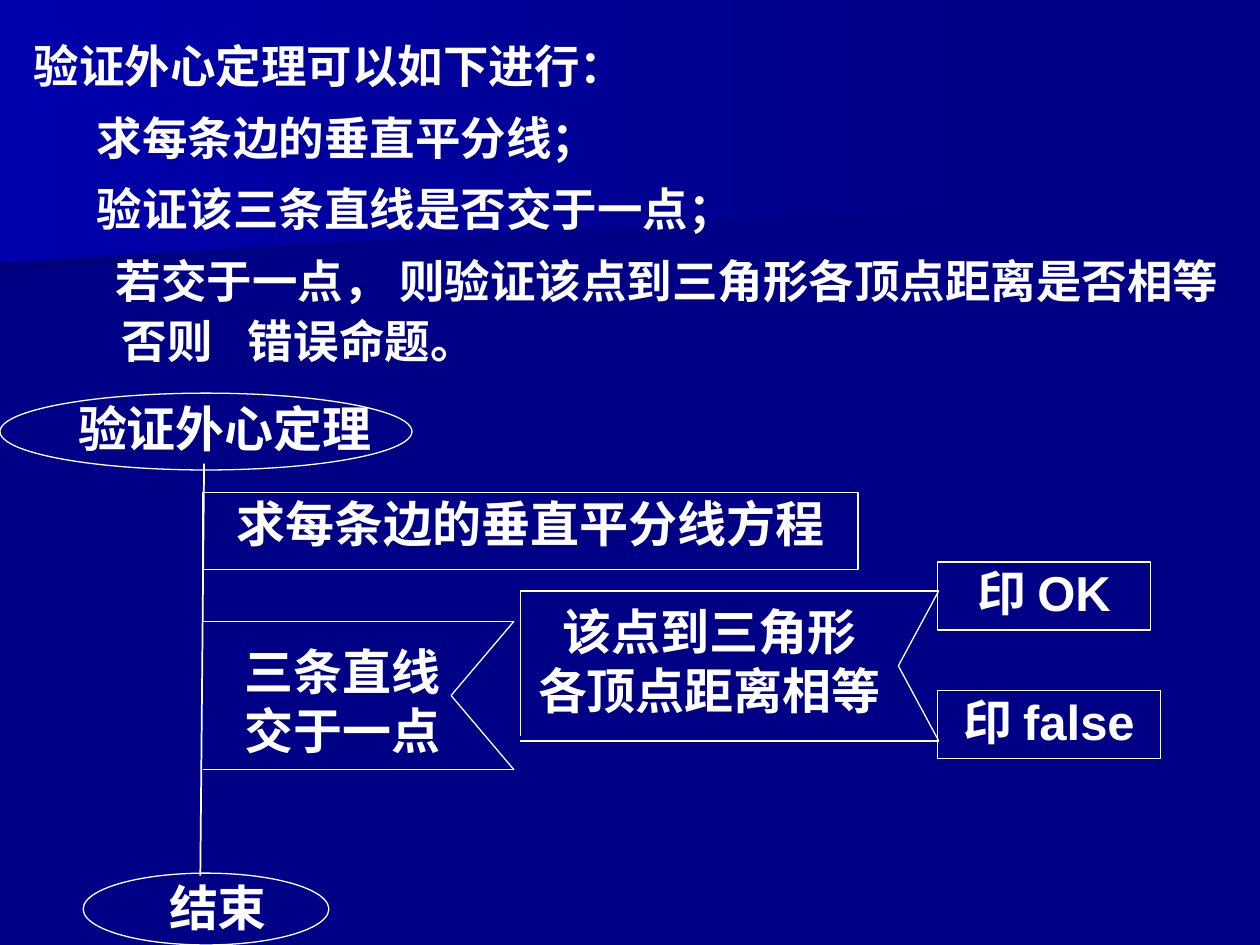
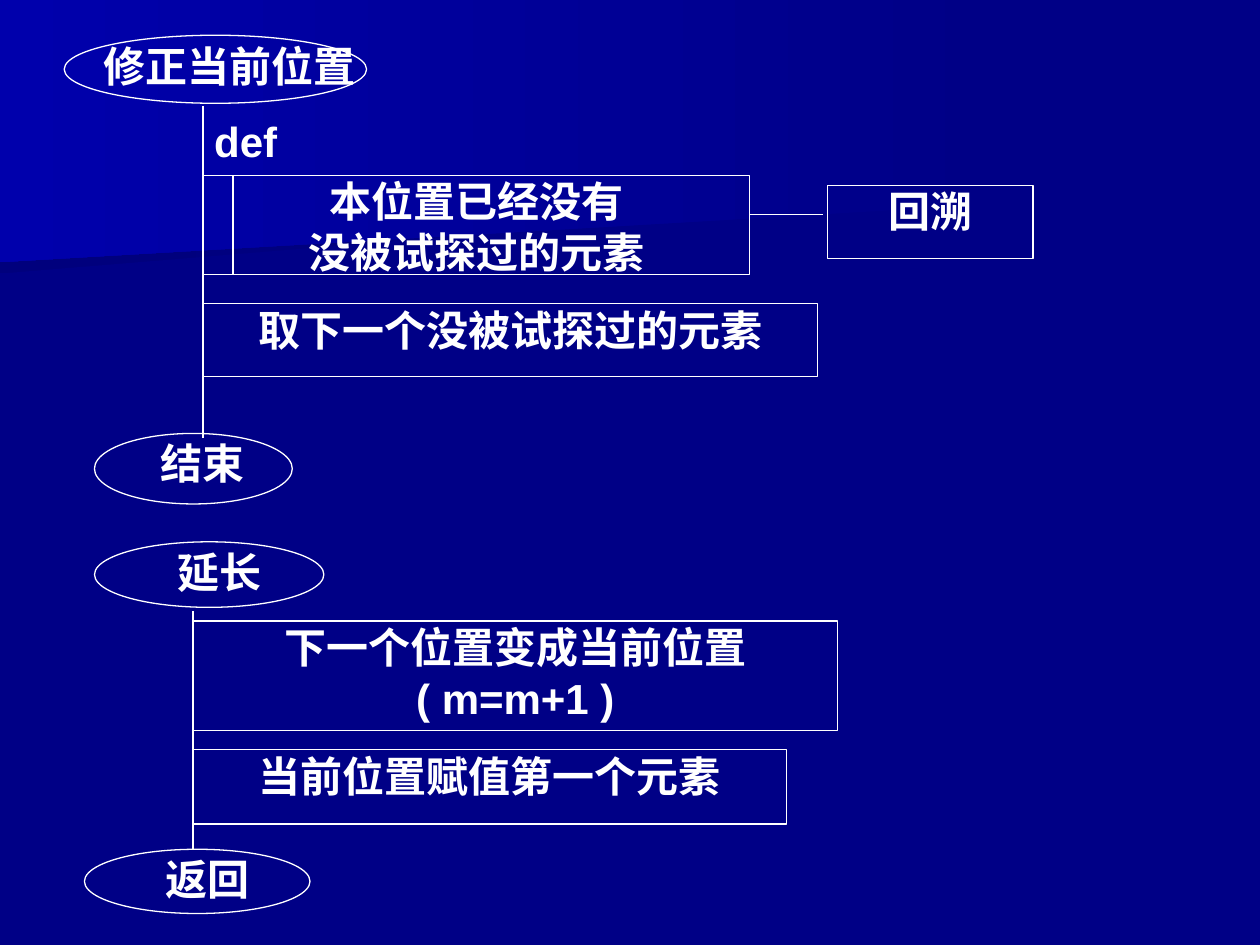
from lxml.etree import SubElement
from pptx import Presentation
from pptx.dml.color import RGBColor
from pptx.enum.shapes import MSO_CONNECTOR as Connector, MSO_SHAPE as Shape
from pptx.enum.text import MSO_ANCHOR as Anchor, PP_ALIGN as Align
from pptx.oxml.ns import qn
from pptx.util import Inches, Pt

WHITE = RGBColor(0xFF, 0xFF, 0xFF)
NAVY = RGBColor(0x00, 0x00, 0x86)
DARK_NAVY = RGBColor(0x00, 0x00, 0x7D)
BRIGHT_BLUE = RGBColor(0x00, 0x00, 0xAC)

COLUMNS, ROWS = 100, 75
CELL = Inches(0.1)
SANS, SERIF = "Arial", "Times New Roman"


def grid(*cells):
    return [round(cell * CELL) for cell in cells]


def write(shape, text, size, font, align=Align.CENTER, inset=0.1):
    frame = shape.text_frame
    frame.text = text
    frame.word_wrap = True
    frame.vertical_anchor = Anchor.TOP
    frame.margin_left = frame.margin_right = grid(inset)[0]
    frame.margin_top = frame.margin_bottom = grid(inset / 2)[0]
    for para in frame.paragraphs:
        para.alignment = align
        for span in para.runs:
            span.font.size = Pt(size)
            span.font.name = font
            span.font.bold = True
            span.font.color.rgb = WHITE
    return frame


def add_label(page, text, place, size, font, align=Align.CENTER, inset=0.1):
    box = page.shapes.add_textbox(*grid(*place))
    return write(box, text, size, font, align, inset)


def add_outline(page, kind, place):
    shape = page.shapes.add_shape(kind, *grid(*place))
    shape.shadow.inherit = False
    shape.fill.background()
    shape.line.color.rgb = WHITE
    shape.line.width = Pt(0.75)
    return shape


def add_step(page, text, place, size, font):
    return write(add_outline(page, Shape.RECTANGLE, place), text, size, font)


def add_terminal(page, text, place, label_width, size, font, drop=0.3):
    left, top, width, height = place
    add_label(page, text, (left, top + drop, label_width, height - drop), size, font)
    add_outline(page, Shape.OVAL, place)


def add_line(page, start, end, width=0.75):
    line = page.shapes.add_connector(Connector.STRAIGHT, *grid(*start, *end))
    line.line.color.rgb = WHITE
    line.line.width = Pt(width)
    SubElement(line.element.spPr, qn("a:effectLst"))


def add_decision(page, text, left, top, right, bottom, notch, label):
    tip = (notch, (top + bottom) / 2)
    for row in (top, bottom):
        add_line(page, (left, row), (right, row))
        add_line(page, (right, row), tip)
    add_label(page, text, label, 28, SANS)


def add_band(page, layout, points, far_color, near_color):
    corners = [grid(*point) for point in points]
    builder = page.shapes.build_freeform(*corners[0], scale=1.0)
    builder.add_line_segments(corners[1:], close=True)
    band = builder.convert_to_shape()
    band.shadow.inherit = False
    band.line.fill.background()
    band.fill.gradient()
    band.fill.gradient_angle = 180
    for stop, color in zip(band.fill.gradient_stops, (far_color, near_color)):
        stop.color.rgb = color
    layout.shapes.element.append(band.element)


def style_layout(layout, page):
    layout.background.fill.solid()
    layout.background.fill.fore_color.rgb = NAVY
    for holder in list(layout.placeholders):
        layout.shapes.element.remove(holder.element)
    lower = [(77.8, 15.3), (0, 21.7), (0, 10.1), (77.9, 10.1)]
    upper = [(79.2, 16.2), (0, 20.8), (0, 0), (79.2, 0)]
    add_band(page, layout, lower, NAVY, DARK_NAVY)
    add_band(page, layout, upper, NAVY, BRIGHT_BLUE)


def indent(para, left, first=0, stops=()):
    properties = para._p.get_or_add_pPr()
    margin, offset = grid(left, first)
    properties.set("marL", str(margin))
    properties.set("indent", str(offset))
    if stops:
        tabs = SubElement(properties, qn("a:tabLst"))
        for stop in grid(*stops):
            SubElement(tabs, qn("a:tab"), pos=str(stop), algn="l")


def add_introduction(page):
    lines = [
        "验证外心定理可以如下进行：",
        "求每条边的垂直平分线；",
        "验证该三条直线是否交于一点；",
        "若交于一点， 则验证该点到三角形各顶点距离是否相等否则\t错误命题。",
    ]
    indents = [(1.7,), (6.7,), (6.7,), (8.7, -0.5, (12.1, 20.8))]
    frame = add_label(page, "\n".join(lines), (0, 2.1, COLUMNS, 27.6), 26, SANS, Align.LEFT, 1)
    for number, (para, levels) in enumerate(zip(frame.paragraphs, indents)):
        para.line_spacing = 1.1
        para.space_before = Pt(3.3 if number else 0)
        para.space_after = Pt(3.3)
        indent(para, *levels)


def build_circumcenter(page):
    add_introduction(page)
    trunk = 16.1
    add_terminal(page, "验证外心定理", (0, 31.2, 32.7, 6.1), 35.7, 28, SANS, 0.4)
    add_line(page, (16.2, 36.8), (15.9, 69.5), 1)
    add_step(page, "求每条边的垂直平分线方程", (trunk, 39.1, 52, 6.1), 28, SANS)
    add_terminal(page, "结束", (6.6, 69.3, 19.5, 5.7), 21.4, 28, SANS)
    add_decision(page, "三条直线\n交于一点", trunk, 49.3, 40.8, 61.1, 35.8,
                 (16.9, 50.9, 20.5, 8.7))
    add_decision(page, "该点到三角形\n各顶点距离相等", 41.3, 46.9, 74.5, 58.8, 71.3,
                 (42.1, 47.7, 28.4, 9.5))
    add_line(page, (41.3, 46.9), (41.3, 58.4))
    add_step(page, "印 OK", (74.4, 44.6, 16.9, 5.4), 28, SANS)
    add_step(page, "印 false", (74.4, 54.8, 17.7, 5.4), 28, SANS)


def build_position_update(page):
    trunk = 16.1
    add_terminal(page, "修正当前位置", (5.1, 2.8, 24, 5.4), 26.3, 24, SERIF, 0.4)
    add_line(page, (trunk, 8.4), (trunk, 34.8), 1)
    add_step(page, "取下一个没被试探过的元素", (trunk, 24.1, 48.8, 5.8), 24, SERIF)
    add_step(page, "回溯", (65.7, 14.7, 16.3, 5.8), 24, SERIF)
    add_terminal(page, "结束", (7.5, 34.4, 15.7, 5.6), 17.1, 24, SERIF)
    add_step(page, "本位置已经没有\n没被试探过的元素", (trunk, 13.9, 43.4, 7.9), 24, SERIF)
    add_line(page, (18.5, 13.9), (18.5, 21.8))
    add_line(page, (59.5, 17), (65.3, 17))
    add_label(page, "def", (16.9, 9.1, 8.8, 5.2), 24, SANS, Align.JUSTIFY)


def build_extension(page):
    trunk = 15.3
    add_terminal(page, "延长", (7.5, 43, 18.2, 5.2), 19.9, 24, SERIF)
    add_line(page, (trunk, 48.5), (trunk, 67.4), 1)
    add_step(page, "当前位置赋值第一个元素", (trunk, 59.5, 47.1, 5.9), 24, SERIF)
    frame = add_step(page, "下一个位置变成当前位置\n( m=m+1 )", (trunk, 49.3, 51.2, 8.7), 24, SERIF)
    frame.paragraphs[1].runs[0].font.name = SANS
    add_terminal(page, "返回", (6.7, 67.4, 17.9, 5.1), 19.6, 24, SERIF)


def main():
    deck = Presentation()
    deck.slide_width, deck.slide_height = grid(COLUMNS, ROWS)
    layout = deck.slide_layouts[6]
    theorem, backtracking = [deck.slides.add_slide(layout) for _ in range(2)]
    style_layout(layout, theorem)
    build_circumcenter(theorem)
    build_position_update(backtracking)
    build_extension(backtracking)
    deck.save("out.pptx")


if __name__ == "__main__":
    main()
